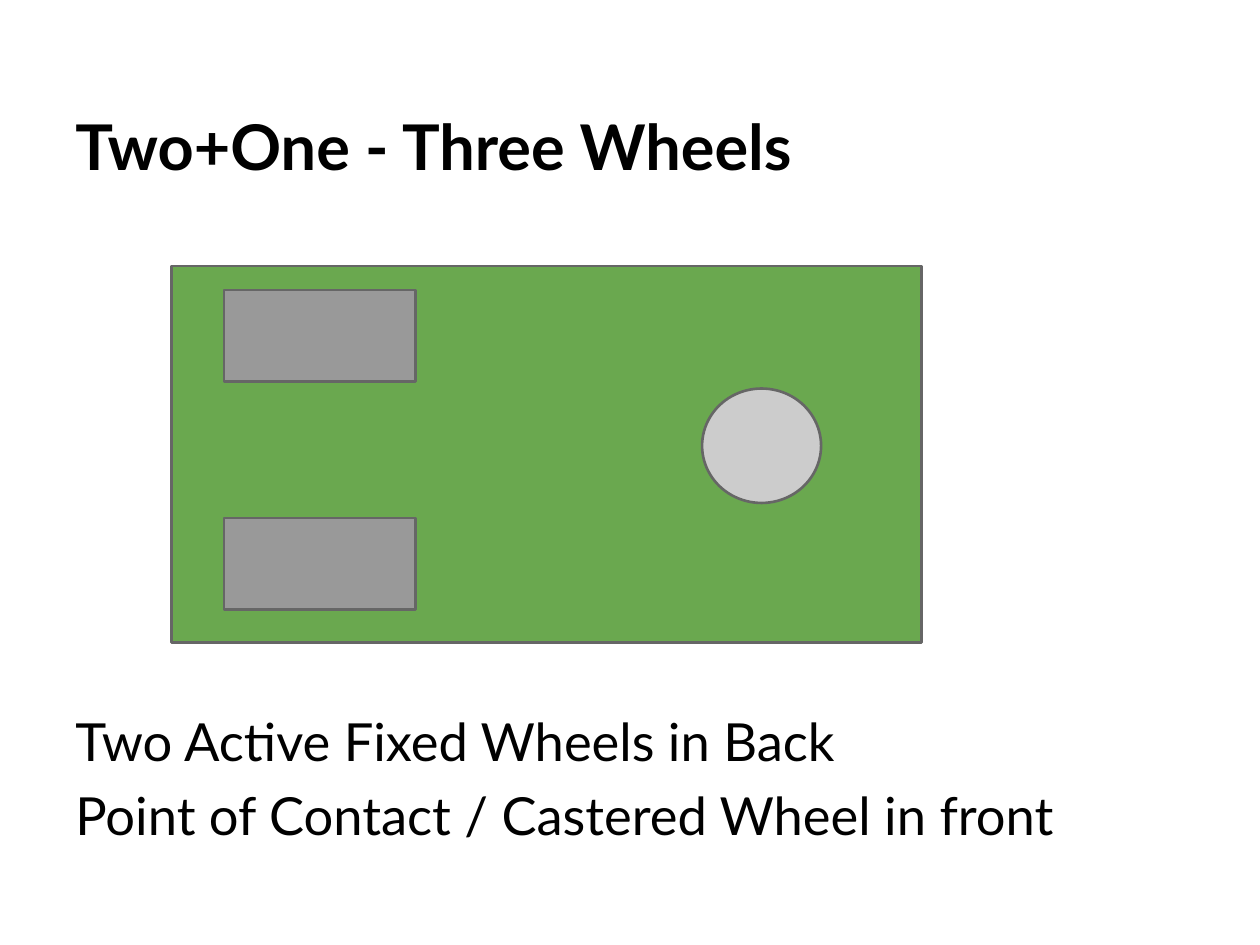
from pptx import Presentation
from pptx.dml.color import RGBColor
from pptx.enum import shapes, text
from pptx.util import Pt

RECT = shapes.MSO_SHAPE.RECTANGLE
OVAL = shapes.MSO_SHAPE.OVAL


def color(value):
    return RGBColor.from_string(value)


def add_text(slide, box, lines, size, bold=False, anchor=text.MSO_ANCHOR.TOP):
    tf = slide.shapes.add_textbox(*map(Pt, box)).text_frame
    tf.word_wrap = True
    tf.vertical_anchor = anchor
    tf.margin_left = tf.margin_right = tf.margin_top = tf.margin_bottom = Pt(7.2)
    for i, line in enumerate(lines):
        p = tf.add_paragraph() if i else tf.paragraphs[0]
        p.text = line
        p.space_before = Pt(6 if i else 0)
        p.font.name = "Lato"
        p.font.size = Pt(size)
        p.font.bold = bold
        p.font.color.rgb = color("000000")


def add_part(slide, kind, box, fill):
    """Add one outlined part of the robot's plan view."""
    sp = slide.shapes.add_shape(kind, *map(Pt, box))
    sp.shadow.inherit = False
    sp.fill.solid()
    sp.fill.fore_color.rgb = color(fill)
    sp.line.color.rgb = color("666666")
    sp.line.width = Pt(1.5)


def main():
    prs = Presentation()
    prs.slide_width, prs.slide_height = Pt(720), Pt(540)
    slide = prs.slides.add_slide(prs.slide_layouts[6])

    add_text(slide, (36, 21.6, 648, 90), ["Two+One - Three Wheels"], 36,
             bold=True, anchor=text.MSO_ANCHOR.BOTTOM)
    add_text(slide, (36, 398.2, 648, 119.5),
             ["Two Active Fixed Wheels in Back",
              "Point of Contact / Castered Wheel in front"], 30)

    add_part(slide, RECT, (98, 152, 428.6, 215.3), "6AA84F")
    for wheel_top in (165.7, 296):
        add_part(slide, RECT, (128, wheel_top, 109.6, 52.4), "999999")
    add_part(slide, OVAL, (401.2, 222, 68, 65.4), "CCCCCC")

    prs.save("out.pptx")


if __name__ == "__main__":
    main()
